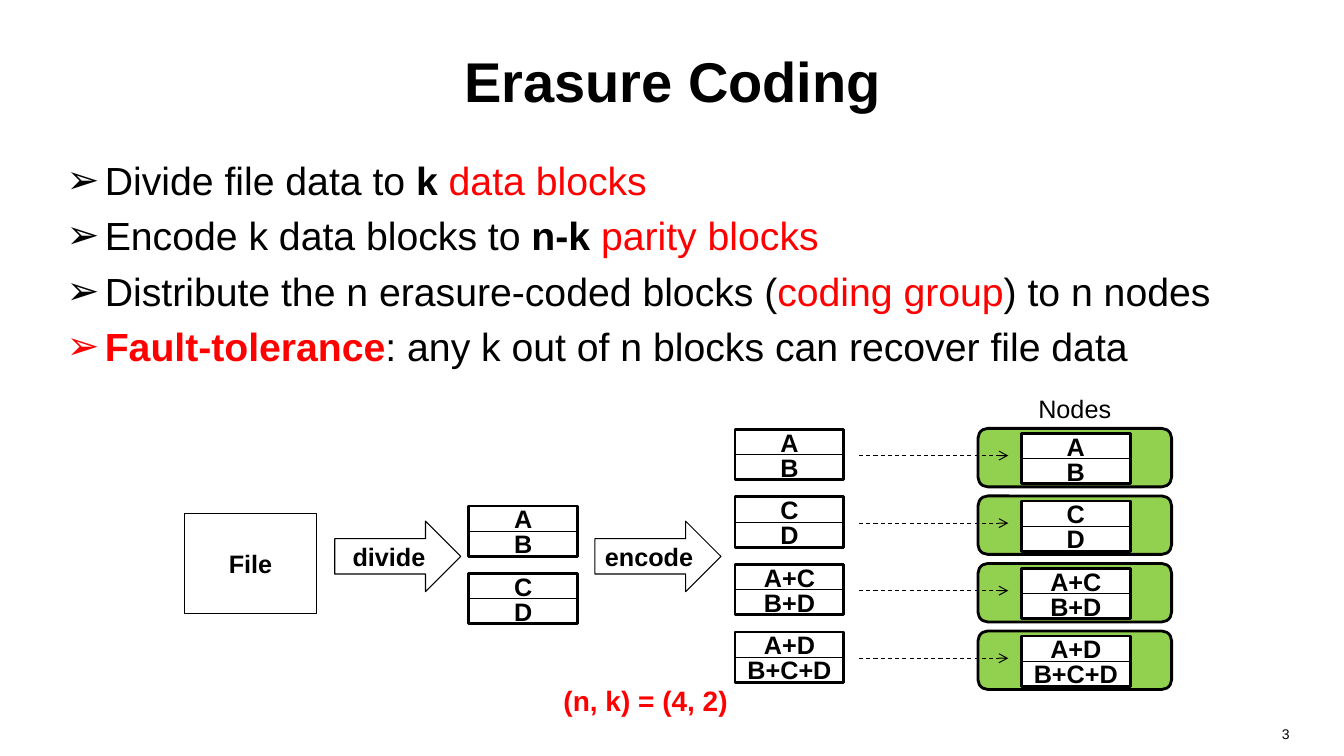
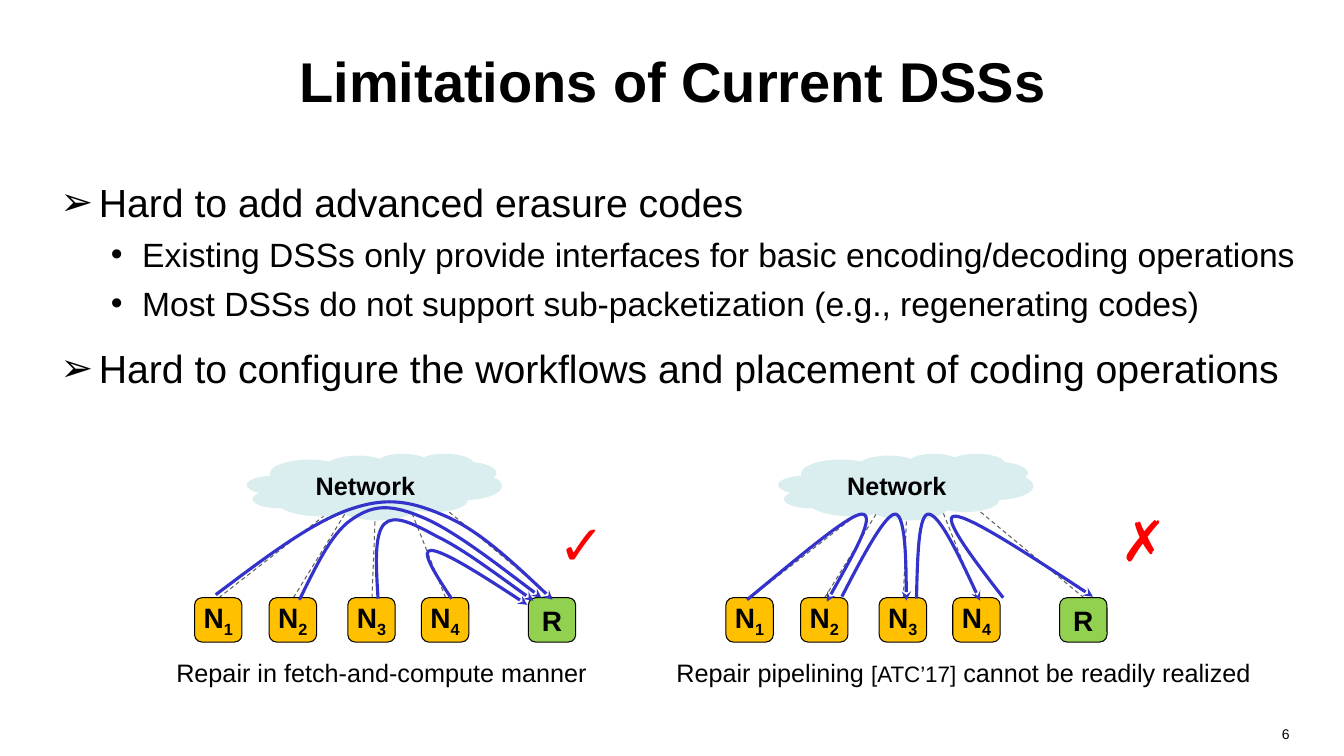
import pptx
import pptx.util
import pptx.dml.color
import pptx.enum.dml
import pptx.enum.shapes
import pptx.enum.text
import pptx.oxml
import pptx.oxml.ns
from lxml import etree

Inches = pptx.util.Inches
Pt = pptx.util.Pt
qn = pptx.oxml.ns.qn
Shape = pptx.enum.shapes.MSO_SHAPE
Align = pptx.enum.text.PP_ALIGN
Anchor = pptx.enum.text.MSO_ANCHOR

COLORS = {"black": "000000", "white": "FFFFFF", "red": "FF0000", "green": "92D050",
          "gold": "FFC000", "cloud": "DAEDEF", "gray": "606060", "blue": "3333CC"}
FONT = "Arial"
LEVELS = [("➢", 28, 0.38, 0.38), ("•", 24, 0.81, 0.31)]

CODING = [
    (0, 0, [("Divide file data to ", ""), ("k ", "b"), ("data blocks", "r")]),
    (0, 6, [("Encode k data blocks to ", ""), ("n-k ", "b"), ("parity blocks", "r")]),
    (0, 6, [("Distribute the n erasure-coded blocks (", ""), ("coding group", "r"), (") to n nodes", "")]),
    (0, 6, [("Fault-tolerance", "br"), (": any k out of n blocks can recover file data", "")]),
]
LIMITS = [
    (0, 0, [("Hard to add advanced erasure codes", "")]),
    (1, 6, [("Existing DSSs only provide interfaces for basic encoding/decoding operations", "")]),
    (1, 6, [("Most DSSs do not support sub-packetization (e.g., regenerating codes)", "")]),
    (0, 15, [("Hard to configure the workflows and placement of coding operations", "")]),
]
BLOCKS = [("A", "B"), ("C", "D"), ("A+C", "B+D"), ("A+D", "B+C+D")]
STACKS = [(4.65, 5.02, BLOCKS[:2]), (7.29, 4.26, BLOCKS), (10.13, 4.3, BLOCKS)]
STEPS = [(3.32, "divide"), (5.9, "encode")]
PITCH = 0.67

HOSTS = [(1.93, "N", "1", 3.3, 5.05), (2.67, "N", "2", 3.45, 5.05), (3.45, "N", "3", 3.72, 5.16),
         (4.18, "N", "4", 4.07, 5.05), (5.24, "R", "", 4.42, 5.05)]
FETCH = [
    [(2.14, 5.9), (2.62, 5.54), (3.09, 5.18), (3.48, 5.05), (3.86, 4.92), (4.1, 4.98), (4.44, 5.13),
     (4.77, 5.28), (5.12, 5.61), (5.48, 5.95)],
    [(2.97, 5.95), (3.13, 5.63), (3.28, 5.3), (3.48, 5.16), (3.68, 5.02), (3.84, 4.99), (4.16, 5.12),
     (4.47, 5.24), (4.92, 5.59), (5.37, 5.93)],
    [(3.75, 5.94), (3.73, 5.62), (3.71, 5.31), (3.81, 5.2), (3.91, 5.1), (4.09, 5.19), (4.33, 5.32),
     (4.58, 5.44), (4.93, 5.7), (5.29, 5.96)],
    [(4.48, 5.94), (4.32, 5.7), (4.16, 5.45), (4.28, 5.46), (4.41, 5.47), (4.82, 5.73), (5.23, 6)],
]
PIPE = [
    [(7.41, 5.95), (7.92, 5.53), (8.42, 5.1), (8.55, 5.1), (8.69, 5.11), (8.44, 5.54), (8.2, 5.97)],
    [(9.09, 5.94), (9.1, 5.52), (9.11, 5.1), (9.21, 5.1), (9.32, 5.11), (9.52, 5.53), (9.72, 5.96)],
    [(9.95, 5.93), (9.64, 5.53), (9.33, 5.12), (9.47, 5.12), (9.62, 5.12), (10.23, 5.52), (10.84, 5.92)],
    [(8.35, 5.92), (8.56, 5.51), (8.78, 5.1), (8.88, 5.1), (8.99, 5.11), (8.99, 5.96), (8.99, 5.96)],
]
REPAIRS = [
    (0, FETCH, (1.65, 4.31), [("Repair in fetch-and-compute manner", 18)], "✓", (5.44, 5.01, 0.64, 0.77)),
    (5.27, PIPE, (6.61, 6.06),
     [("Repair pipelining ", 18), ("[ATC’17]", 16), (" cannot be readily realized", 18)],
     "✗", (11.02, 4.97, 0.56, 0.77)),
]


def rgb(name):
    return pptx.dml.color.RGBColor.from_string(COLORS[name])


def style(run, size, bold=False, color="black"):
    font = run.font
    font.name, font.size, font.bold = FONT, Pt(size), bold
    font.color.rgb = rgb(color)


def place(item, box):
    item.left, item.top, item.width, item.height = map(Inches, box)


def write(para, text, size, bold=False, color="black"):
    run = para.add_run()
    run.text = text
    style(run, size, bold, color)
    return run


def label(slide, box, parts, bold=False, color="black", align=Align.LEFT, wrap=False):
    frame = slide.shapes.add_textbox(*map(Inches, box)).text_frame
    frame.word_wrap = wrap
    para = frame.paragraphs[0]
    para.alignment = align
    for text, size in parts:
        write(para, text, size, bold, color)


def draw(slide, kind, box, fill=None, line="black", width=0.75, text="", size=18):
    shape = slide.shapes.add_shape(kind, *map(Inches, box))
    shape.shadow.inherit = False
    paint(shape, fill, line, width)
    if text:
        frame = shape.text_frame
        frame.word_wrap = False
        frame.vertical_anchor = Anchor.MIDDLE
        frame.margin_left = frame.margin_right = frame.margin_top = frame.margin_bottom = 0
        para = frame.paragraphs[0]
        para.alignment = Align.CENTER
        write(para, text, size, True)
    return shape


def paint(shape, fill, line, width):
    if fill:
        shape.fill.solid()
        shape.fill.fore_color.rgb = rgb(fill)
    else:
        shape.fill.background()
    if line:
        shape.line.color.rgb = rgb(line)
        shape.line.width = Pt(width)
    else:
        shape.line.fill.background()


def tip(shape, kind):
    etree.SubElement(shape.line._get_or_add_ln(), qn("a:tailEnd"), type=kind)


def dash(slide, start, end, color, head=None):
    line = slide.shapes.add_connector(pptx.enum.shapes.MSO_CONNECTOR.STRAIGHT, *map(Inches, start + end))
    line.line.color.rgb = rgb(color)
    line.line.width = Pt(0.75)
    line.line.dash_style = pptx.enum.dml.MSO_LINE.DASH
    if head:
        tip(line, head)
    etree.SubElement(line._element.spPr, qn("a:effectLst"))


def curve(slide, points):
    spots = [(Inches(x), Inches(y)) for x, y in points]
    form = slide.shapes.build_freeform(*spots[0])
    form.add_line_segments(spots[1:], close=False)
    shape = form.convert_to_shape()
    shape.shadow.inherit = False
    paint(shape, None, "blue", 2.25)
    tip(shape, "stealth")
    legs = list(shape._element.iter(qn("a:lnTo")))
    for i in range(0, len(legs), 3):
        first, *rest = legs[i:i + 3]
        first.tag = qn("a:cubicBezTo")
        for leg in rest:
            first.append(leg[0])
            leg.getparent().remove(leg)


def fill_list(body, items):
    frame = body.text_frame
    frame.auto_size = pptx.enum.text.MSO_AUTO_SIZE.NONE
    for i, (level, gap, parts) in enumerate(items):
        para = frame.add_paragraph() if i else frame.paragraphs[0]
        mark, size, left, hang = LEVELS[level]
        para.level = level
        props = para._p.get_or_add_pPr()
        props.set("marL", str(Inches(left)))
        props.set("indent", str(-Inches(hang)))
        etree.SubElement(props, qn("a:buFont"), typeface=FONT)
        etree.SubElement(props, qn("a:buChar"), char=mark)
        para.space_before = Pt(gap)
        for text, look in parts:
            write(para, text, size, "b" in look, "red" if "r" in look else "black")


def new_slide(deck, title, items, box, number):
    slide = deck.slides.add_slide(deck.slide_layouts[1])
    head, body = slide.placeholders
    place(head, (0.67, 0.17, 12, 1.25))
    head.text_frame.text = title
    head.text_frame.vertical_anchor = Anchor.MIDDLE
    para = head.text_frame.paragraphs[0]
    para.alignment = Align.CENTER
    style(para.runs[0], 40, True)
    place(body, box)
    fill_list(body, items)
    label(slide, (9.78, 7.15, 3.11, 0.35), [(number, 10)], align=Align.RIGHT, wrap=True)
    return slide


def coding(deck):
    slide = new_slide(deck, "Erasure Coding", CODING, (0.56, 1.5, 12.55, 2.26), "3")
    label(slide, (10.2, 3.85, 0.93, 0.4), [("Nodes", 18)])
    label(slide, (5.49, 6.73, 1.84, 0.44), [("(n, k) = (4, 2)", 20)], True, "red")
    draw(slide, Shape.RECTANGLE, (1.83, 5.09, 1.31, 1), text="File")
    for left, text in STEPS:
        draw(slide, Shape.RIGHT_ARROW, (left, 5.17, 1.25, 0.7), text=text)
    for i in range(len(BLOCKS)):
        step = i * PITCH
        draw(slide, Shape.ROUNDED_RECTANGLE, (9.7, 4.25 + step, 1.92, 0.58), "green", width=2)
        dash(slide, (8.52, 4.52 + step), (10, 4.52 + step), "black", "arrow")
    for left, top, blocks in STACKS:
        for i, pair in enumerate(blocks):
            y = top + i * PITCH
            for j, text in enumerate(pair):
                draw(slide, Shape.RECTANGLE, (left, y + j * 0.25, 1.08, 0.25), "white", text=text)
            draw(slide, Shape.RECTANGLE, (left, y, 1.08, 0.5), width=2)


def limits(deck):
    slide = new_slide(deck, "Limitations of Current DSSs", LIMITS, (0.5, 1.72, 12.67, 2.78), "6")
    for shift, flows, (left, width), note, mark, spot in REPAIRS:
        for x, name, sub, end, top in HOSTS:
            dash(slide, (x + shift + 0.24, 5.93), (end + shift, top), "gray")
        draw(slide, Shape.CLOUD, (2.45 + shift, 4.5, 2.53, 0.66), "cloud", None, text="Network")
        for x, name, sub, end, top in HOSTS:
            fill = "gold" if sub else "green"
            host = draw(slide, Shape.ROUNDED_RECTANGLE, (x + shift, 5.93, 0.47, 0.44), fill, text=name, size=20)
            if sub:
                run = write(host.text_frame.paragraphs[0], sub, 20, True)
                run._r.get_or_add_rPr().set("baseline", "-25000")
        for points in flows:
            curve(slide, points)
        label(slide, (left, 6.47, width, 0.4), note)
        label(slide, spot, [(mark, 40)], color="red")


def main():
    deck = pptx.Presentation()
    deck.slide_width, deck.slide_height = Inches(13.33), Inches(7.5)
    coding(deck)
    limits(deck)
    deck.save("out.pptx")


if __name__ == "__main__":
    main()
